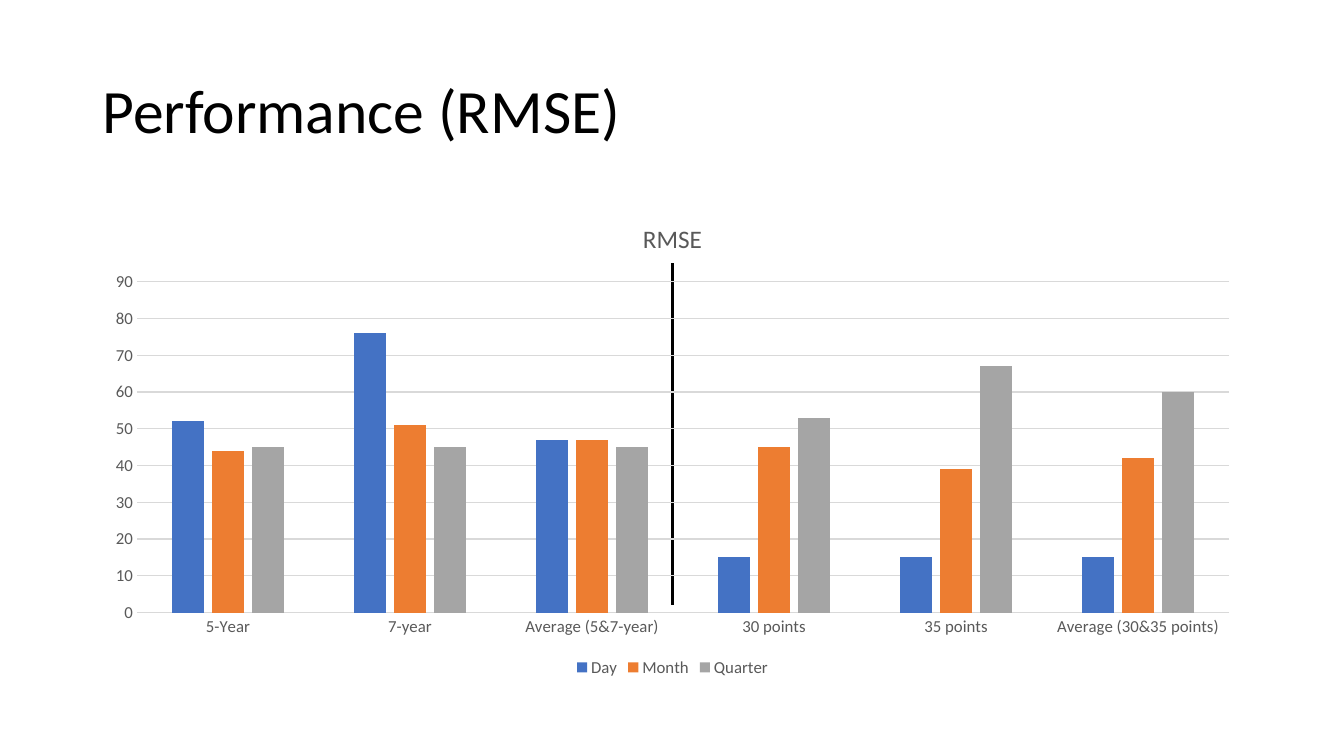
"""Build the RMSE performance slide."""
from dataclasses import dataclass

from lxml import etree
from pptx import Presentation
from pptx import util as u
from pptx.chart import data
from pptx.dml import color
from pptx.enum import chart as ch
from pptx.enum import shapes, text
from pptx.oxml import ns


@dataclass(frozen=True)
class Theme:
    font: str = "Calibri"
    ink: str = "000000"
    label: str = "595959"
    grid: str = "D9D9D9"
    head: float = 44
    title: float = 18
    small: float = 12
    thin: float = 0.75
    thick: float = 2.25


@dataclass(frozen=True)
class Series:
    name: str
    fill: str
    vals: tuple[int, ...]


THEME = Theme()
CATS = ("5-Year", "7-year", "Average (5&7-year)",
        "30 points", "35 points", "Average (30&35 points)")
SERIES = (
    Series("Day", "4472C4", (52, 76, 47, 15, 15, 15)),
    Series("Month", "ED7D31", (44, 51, 47, 45, 39, 42)),
    Series("Quarter", "A5A5A5", (45, 45, 45, 53, 67, 60)),
)


def style(font, size: float, tone: str) -> None:
    font.name = THEME.font
    font.size = u.Pt(size)
    font.bold = False
    font.color.rgb = color.RGBColor.from_string(tone)


def stroke(line, tone: str, width: float) -> None:
    line.color.rgb = color.RGBColor.from_string(tone)
    line.width = u.Pt(width)


def add_head(slide, words: str) -> None:
    box = slide.shapes.add_textbox(
        u.Inches(0.92), u.Inches(0.4), u.Inches(11.5), u.Inches(1.45))
    frame = box.text_frame
    frame.word_wrap = True
    frame.vertical_anchor = text.MSO_ANCHOR.MIDDLE
    frame.text = words
    para = frame.paragraphs[0]
    para.line_spacing = 0.9
    style(para.runs[0].font, THEME.head, THEME.ink)


def add_rule(slide) -> None:
    rule = slide.shapes.add_connector(
        shapes.MSO_CONNECTOR.STRAIGHT,
        u.Inches(6.67), u.Inches(2.61), u.Inches(6.67), u.Inches(6))
    stroke(rule.line, THEME.ink, THEME.thick)
    etree.SubElement(rule._element.spPr, ns.qn("a:effectLst"))


def add_bars(slide, name: str) -> None:
    table = data.CategoryChartData()
    table.categories = CATS
    for item in SERIES:
        table.add_series(item.name, item.vals)
    chart = slide.shapes.add_chart(
        ch.XL_CHART_TYPE.COLUMN_CLUSTERED, u.Inches(0.92), u.Inches(2),
        u.Inches(11.5), u.Inches(4.76), table).chart
    style(chart.font, THEME.small, THEME.label)

    chart.has_title = True
    chart.chart_title.include_in_layout = False
    frame = chart.chart_title.text_frame
    frame.text = name
    style(frame.paragraphs[0].runs[0].font, THEME.title, THEME.label)

    chart.has_legend = True
    chart.legend.position = ch.XL_LEGEND_POSITION.BOTTOM
    chart.legend.include_in_layout = False
    style(chart.legend.font, THEME.small, THEME.label)

    plot = chart.plots[0]
    plot.gap_width, plot.overlap = 219, -27
    plot.vary_by_categories = False
    for bars, item in zip(plot.series, SERIES):
        bars.format.fill.solid()
        bars.format.fill.fore_color.rgb = color.RGBColor.from_string(item.fill)

    for axis in (chart.category_axis, chart.value_axis):
        axis.major_tick_mark = ch.XL_TICK_MARK.NONE
        axis.minor_tick_mark = ch.XL_TICK_MARK.NONE
        style(axis.tick_labels.font, THEME.small, THEME.label)
    stroke(chart.category_axis.format.line, THEME.grid, THEME.thin)
    scale = chart.value_axis
    scale.minimum_scale, scale.maximum_scale, scale.major_unit = 0, 90, 10
    scale.format.line.fill.background()
    scale.has_major_gridlines = True
    stroke(scale.major_gridlines.format.line, THEME.grid, THEME.thin)


def main() -> None:
    deck = Presentation()
    deck.slide_width, deck.slide_height = u.Inches(13.33), u.Inches(7.5)
    slide = deck.slides.add_slide(deck.slide_layouts[6])
    add_head(slide, "Performance (RMSE)")
    add_rule(slide)
    add_bars(slide, "RMSE")
    deck.save("out.pptx")


if __name__ == "__main__":
    main()
